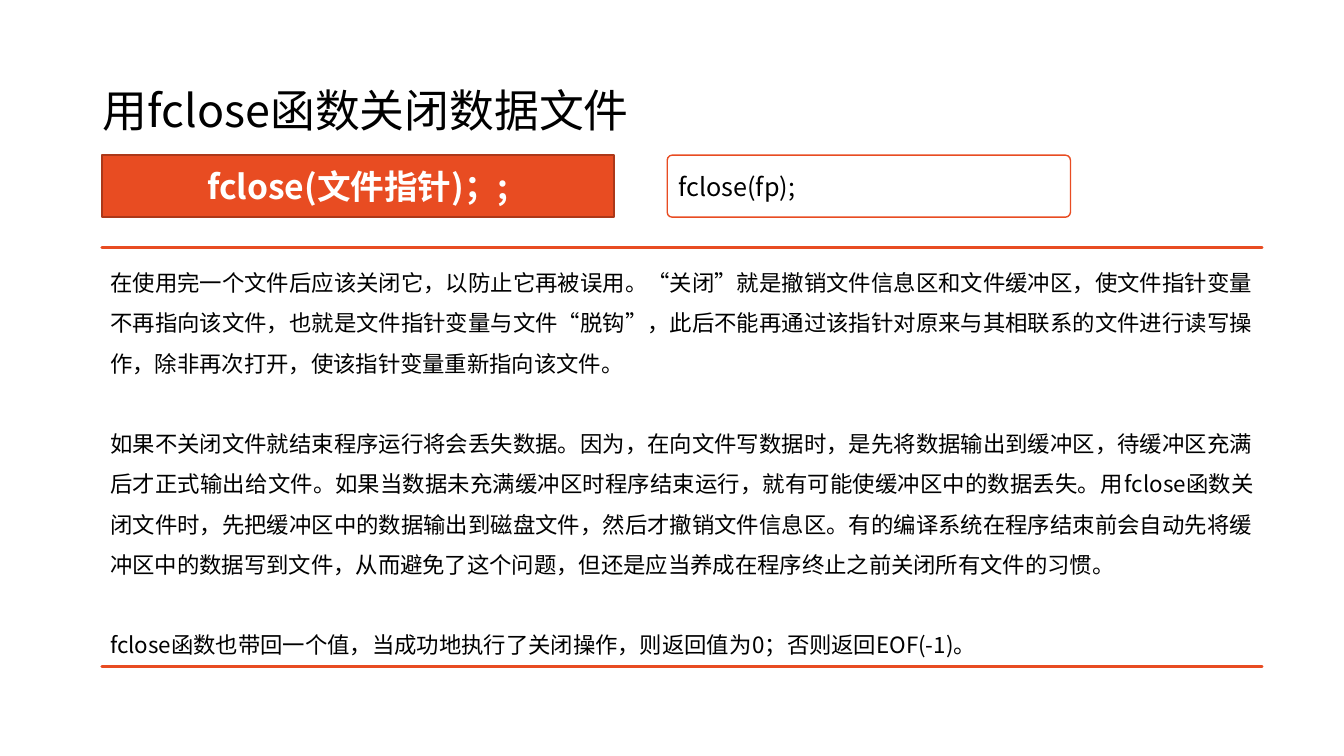
from lxml import etree
from pptx import Presentation
from pptx.dml.color import RGBColor
from pptx.enum.shapes import MSO_SHAPE
from pptx.enum.text import MSO_ANCHOR, PP_ALIGN
from pptx.oxml.ns import qn
from pptx.util import Inches, Pt

RECTANGLE, ROUNDED = MSO_SHAPE.RECTANGLE, MSO_SHAPE.ROUNDED_RECTANGLE
TOP, MIDDLE = MSO_ANCHOR.TOP, MSO_ANCHOR.MIDDLE
LEFT, CENTER, JUSTIFY = PP_ALIGN.LEFT, PP_ALIGN.CENTER, PP_ALIGN.JUSTIFY

WIDTH, HEIGHT = Inches(13.333), Inches(7.5)
FONT = "Noto Sans CJK SC"
ORANGE, BROWN, WHITE, BLACK = "E84C22", "AC3819", "FFFFFF", "000000"
BODY_PITCH, BODY_INSET = Pt(28.75), Pt(6)

MARGIN, CONTENT_WIDTH = 7.58, 86.33
BOX_TOP, BOX_HEIGHT = 20.53, 8.2
BODY_TOP, BODY_HEIGHT = 32.75, 55.37

EXPLANATION = [
    "在使用完一个文件后应该关闭它，以防止它再被误用。“关闭”就是撤销文件信息区和文件缓冲区，"
    "使文件指针变量不再指向该文件，也就是文件指针变量与文件“脱钩”，此后不能再通过该指针对原来"
    "与其相联系的文件进行读写操作，除非再次打开，使该指针变量重新指向该文件。",
    "如果不关闭文件就结束程序运行将会丢失数据。因为，在向文件写数据时，是先将数据输出到缓冲区，"
    "待缓冲区充满后才正式输出给文件。如果当数据未充满缓冲区时程序结束运行，就有可能使缓冲区中的"
    "数据丢失。用fclose函数关闭文件时，先把缓冲区中的数据输出到磁盘文件，然后才撤销文件信息区。"
    "有的编译系统在程序结朿前会自动先将缓冲区中的数据写到文件，从而避免了这个问题，"
    "但还是应当养成在程序终止之前关闭所有文件的习惯。",
    "fclose函数也带回一个值，当成功地执行了关闭操作，则返回值为0；否则返回EOF(-1)。",
]


def color(value):
    """Turn a hex string into a colour."""
    return RGBColor.from_string(value)


def area(left, top, width, height):
    """Turn percentages of the slide into lengths."""
    return [int(share * side / 100) for share, side in
            zip((left, top, width, height), (WIDTH, HEIGHT) * 2)]


def write(box, paragraphs, size, ink=BLACK, align=LEFT, anchor=MIDDLE,
          bold=False, spacing=None, gap=0):
    """Fill a box with evenly formatted paragraphs."""
    frame = box.text_frame
    frame.word_wrap = True
    frame.vertical_anchor = anchor
    frame.text = "\n".join(paragraphs)
    for index, para in enumerate(frame.paragraphs):
        para.alignment = align
        para.line_spacing = spacing
        para.space_before = gap if index else 0
        for span in para.runs:
            span.font.name = FONT
            span.font.size = Pt(size)
            span.font.bold = bold
            span.font.color.rgb = color(ink)
            east_asian = etree.SubElement(span.font._element, qn("a:ea"))
            east_asian.set("typeface", FONT)
    return frame


def outline(shape, line, points):
    """Give a shape a plain outline without a shadow."""
    shape.shadow.inherit = False
    shape.line.color.rgb = color(line)
    shape.line.width = Pt(points)


def add_box(page, preset, place, fill, line):
    """Add a filled and outlined preset shape."""
    box = page.shapes.add_shape(preset, *area(*place))
    box.fill.solid()
    box.fill.fore_color.rgb = color(fill)
    outline(box, line, 1)
    return box


def add_body(page):
    """Add the justified explanation framed by a rule above and below."""
    left, top, width, height = area(MARGIN, BODY_TOP, CONTENT_WIDTH, BODY_HEIGHT)
    right, bottom = left + width, top + height
    builder = page.shapes.build_freeform(left, bottom)
    builder.add_line_segments([(right, bottom), (left, bottom)])
    builder.move_to(left, top)
    builder.add_line_segments([(right, top), (left, top)])
    body = builder.convert_to_shape()
    body.fill.background()
    outline(body, ORANGE, 2)
    frame = write(body, EXPLANATION, 16, align=JUSTIFY, anchor=TOP,
                  spacing=BODY_PITCH, gap=BODY_PITCH)
    frame.margin_left = frame.margin_right = BODY_INSET
    frame.margin_top = frame.margin_bottom = BODY_INSET


def main():
    """Build the slide about closing files."""
    deck = Presentation()
    deck.slide_width, deck.slide_height = WIDTH, HEIGHT
    page = deck.slides.add_slide(deck.slide_layouts[6])

    title = page.shapes.add_textbox(*area(6.9, 5.33, 86.25, 19.33))
    write(title, ["用fclose函数关闭数据文件"], 32, spacing=0.9)

    syntax = add_box(page, RECTANGLE, (MARGIN, BOX_TOP, 38.1, BOX_HEIGHT), ORANGE, BROWN)
    write(syntax, ["fclose(文件指针)；;"], 24, WHITE, CENTER, bold=True)

    add_body(page)

    example = add_box(page, ROUNDED, (49.65, BOX_TOP, 30, BOX_HEIGHT), WHITE, ORANGE)
    example.adjustments[0] = 0.08
    write(example, ["fclose(fp);"], 18)

    deck.save("out.pptx")


if __name__ == "__main__":
    main()
